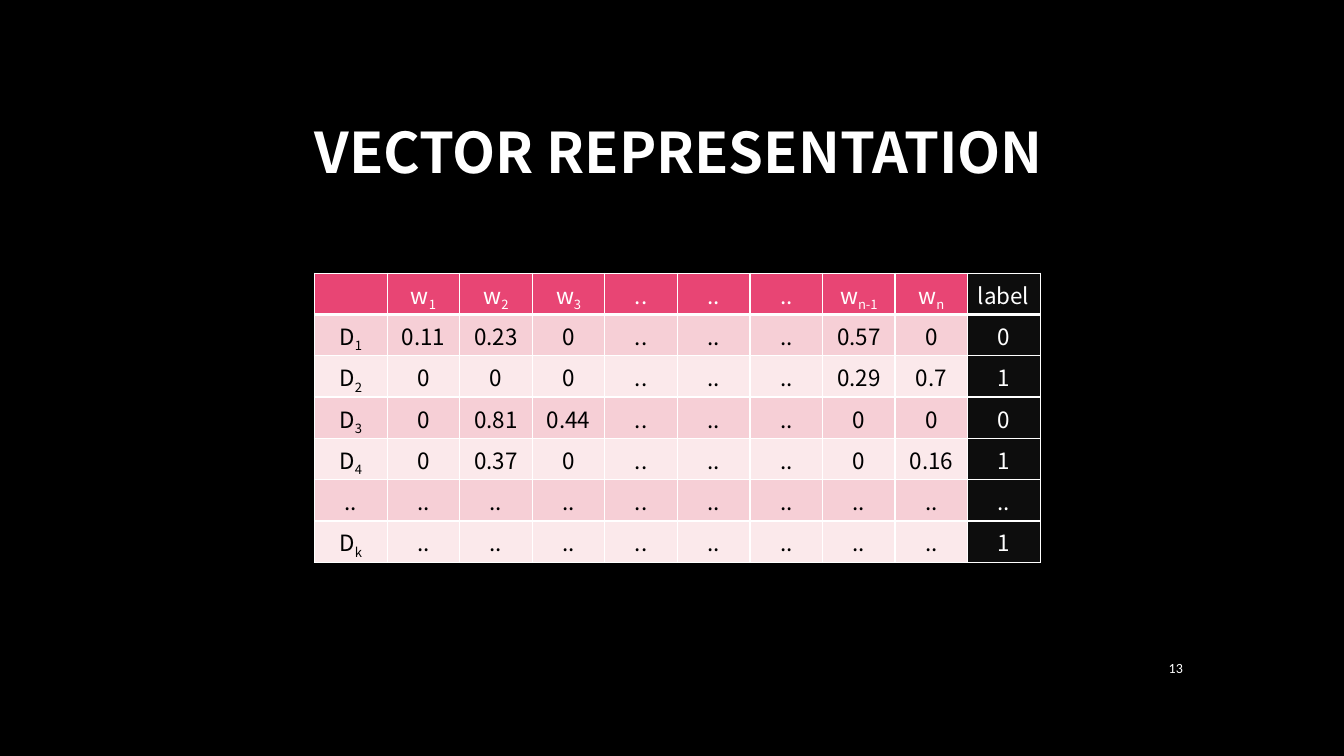
import pptx
import pptx.util
import pptx.dml.color
import pptx.enum.text
import pptx.oxml

RGB = pptx.dml.color.RGBColor
Inches = pptx.util.Inches
ALIGN = pptx.enum.text.PP_ALIGN
MIDDLE = pptx.enum.text.MSO_ANCHOR.MIDDLE

HEADING = "VECTOR REPRESENTATION"
PAGE_NUMBER = "13"
VECTORS = [
    ["", "w_1", "w_2", "w_3", "..", "..", "..", "w_n-1", "w_n", "label"],
    ["D_1", "0.11", "0.23", "0", "..", "..", "..", "0.57", "0", "0"],
    ["D_2", "0", "0", "0", "..", "..", "..", "0.29", "0.7", "1"],
    ["D_3", "0", "0.81", "0.44", "..", "..", "..", "0", "0", "0"],
    ["D_4", "0", "0.37", "0", "..", "..", "..", "0", "0.16", "1"],
    [".."] * 10,
    ["D_k"] + [".."] * 8 + ["1"],
]

BLACK = RGB(0x00, 0x00, 0x00)
WHITE = RGB(0xFF, 0xFF, 0xFF)
PINK = RGB(0xE8, 0x45, 0x74)
BANDS = [RGB(0xFB, 0xE9, 0xEB), RGB(0xF6, 0xCF, 0xD6)]
LABEL_FILL = RGB(0x0D, 0x0D, 0x0D)
HEADING_FONT = "Noto Sans CJK SC"
NUMBER_FONT = "Calibri"

SLIDE_WIDTH, SLIDE_HEIGHT = 13.33, 7.5
TABLE_LEFT, TABLE_TOP = 3.12, 2.71
COLUMN_WIDTH, ROW_HEIGHT = 0.72, 0.41


def write(frame, text, size, color=WHITE, font=HEADING_FONT, bold=False, align=ALIGN.CENTER):
    paragraph = frame.paragraphs[0]
    paragraph.alignment = align
    base, _, subscript = text.partition("_")
    for part, baseline in ((base, None), (subscript, "-25000")):
        if not part:
            continue
        run = paragraph.add_run()
        run.text = part
        run.font.size = pptx.util.Pt(size)
        run.font.name = font
        run.font.bold = bold
        run.font.color.rgb = color
        if baseline:
            run.font._element.set("baseline", baseline)


def add_label(slide, text, left, top, width, height, **style):
    box = slide.shapes.add_textbox(*map(Inches, (left, top, width, height)))
    box.text_frame.word_wrap = True
    box.text_frame.vertical_anchor = MIDDLE
    write(box.text_frame, text, **style)


def outline(cell, bottom_width):
    properties = cell._tc.get_or_add_tcPr()
    for side, width in (("L", 1), ("R", 1), ("T", 1), ("B", bottom_width)):
        properties.append(pptx.oxml.parse_xml(
            '<a:ln%s xmlns:a="http://schemas.openxmlformats.org/drawingml/2006/main" w="%d">'
            '<a:solidFill><a:srgbClr val="%s"/></a:solidFill></a:ln%s>'
            % (side, pptx.util.Pt(width), WHITE, side)))


def add_vectors(slide):
    rows, columns = len(VECTORS), len(VECTORS[0])
    table = slide.shapes.add_table(
        rows, columns, Inches(TABLE_LEFT), Inches(TABLE_TOP),
        Inches(columns * COLUMN_WIDTH), Inches(rows * ROW_HEIGHT)).table
    table.first_row = table.horz_banding = False
    for column in table.columns:
        column.width = Inches(COLUMN_WIDTH)
    for row_index, values in enumerate(VECTORS):
        table.rows[row_index].height = Inches(ROW_HEIGHT)
        is_header = row_index == 0
        for column_index, value in enumerate(values):
            is_label = column_index == columns - 1
            cell = table.cell(row_index, column_index)
            outline(cell, 3 if is_header else 1)
            cell.fill.solid()
            cell.fill.fore_color.rgb = (
                LABEL_FILL if is_label else PINK if is_header else BANDS[row_index % 2])
            write(cell.text_frame, value, size=16,
                  color=WHITE if is_header or is_label else BLACK,
                  align=ALIGN.LEFT if is_header and is_label else ALIGN.CENTER)


def main():
    deck = pptx.Presentation()
    deck.slide_width, deck.slide_height = Inches(SLIDE_WIDTH), Inches(SLIDE_HEIGHT)
    slide = deck.slides.add_slide(deck.slide_layouts[6])
    slide.background.fill.solid()
    slide.background.fill.fore_color.rgb = BLACK
    add_label(slide, HEADING, 1.19, 0.7, 11.08, 1.59, size=40, bold=True)
    add_label(slide, PAGE_NUMBER, 11.23, 6.42, 0.6, 0.41,
              size=10, font=NUMBER_FONT, align=ALIGN.RIGHT)
    add_vectors(slide)
    deck.save("out.pptx")


if __name__ == "__main__":
    main()
